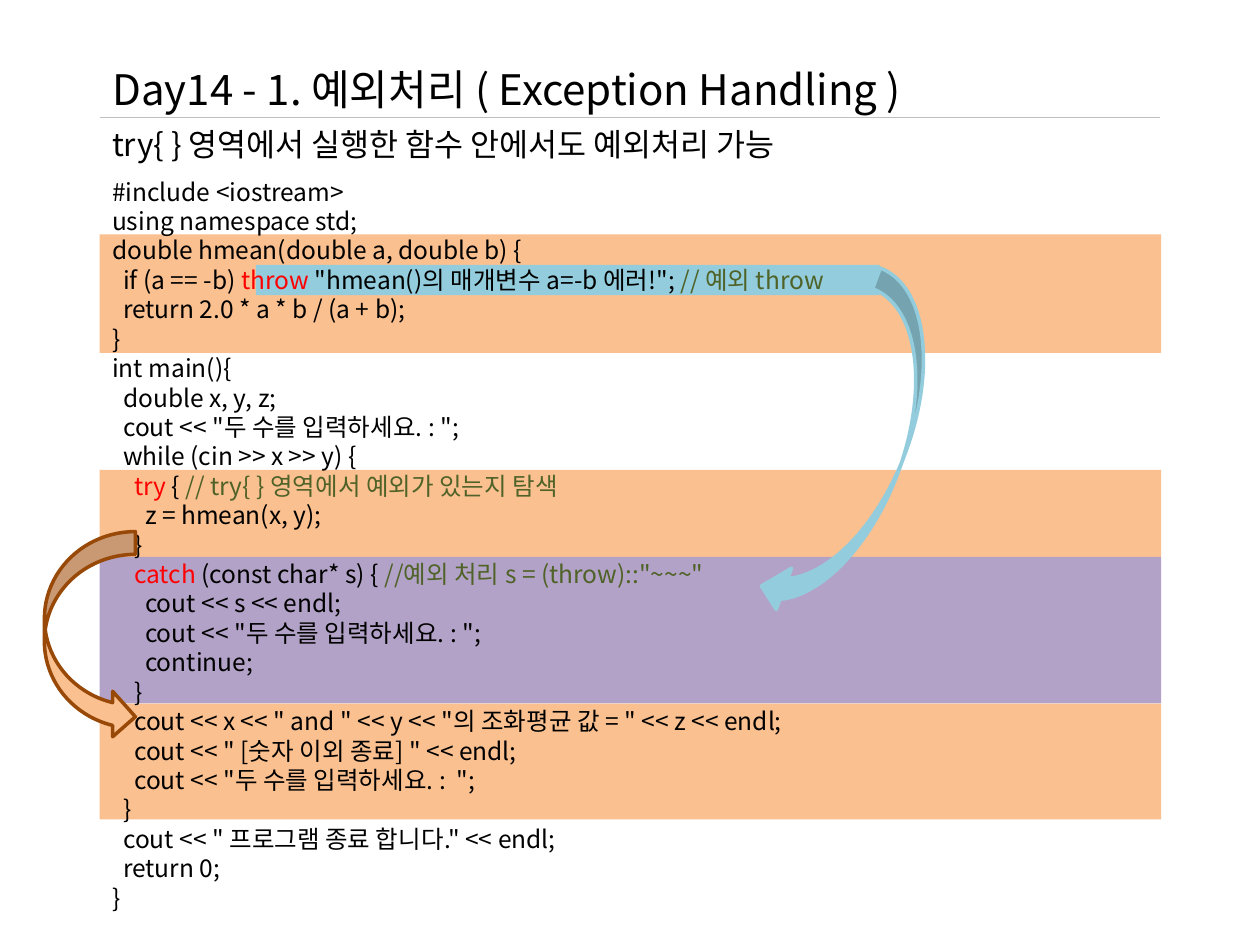
from lxml import etree
from pptx import Presentation
from pptx.dml.color import RGBColor
from pptx.enum.shapes import MSO_CONNECTOR, MSO_SHAPE
from pptx.enum.text import MSO_ANCHOR, MSO_AUTO_SIZE, PP_ALIGN
from pptx.oxml.ns import qn
from pptx.util import Pt

RECT = MSO_SHAPE.RECTANGLE
RIGHT = MSO_SHAPE.CURVED_RIGHT_ARROW
LEFT = MSO_SHAPE.CURVED_LEFT_ARROW
LINE = MSO_CONNECTOR.STRAIGHT
TOP = MSO_ANCHOR.TOP
ALIGN = PP_ALIGN.LEFT
FIXED = MSO_AUTO_SIZE.NONE

BLACK = RGBColor(0, 0, 0)
RED = RGBColor(0xFF, 0, 0)
GREEN = RGBColor(0x4F, 0x62, 0x28)
GRAY = RGBColor(0xBF, 0xBF, 0xBF)
ORANGE = RGBColor(0xFA, 0xC0, 0x90)
BROWN = RGBColor(0x98, 0x48, 0x07)
PURPLE = RGBColor(0xB3, 0xA2, 0xC7)
BLUE = RGBColor(0x93, 0xCD, 0xDD)

FONT = "Noto Sans CJK KR"
EDGE = 57
WIDE = 606.6
WORDS = ("throw", "try", "catch")

CODE = """#include <iostream>
using namespace std;
double hmean(double a, double b) {
  if (a == -b) |throw| "hmean()의 매개변수 a=-b 에러!"; |// 예외 throw
  return 2.0 * a * b / (a + b);
}
int main(){
  double x, y, z;
  cout << "두 수를 입력하세요. : ";
  while (cin >> x >> y) {
    |try| { |// try{ } 영역에서 예외가 있는지 탐색
      z = hmean(x, y);
    }
    |catch| (const char* s) { |//예외 처리 s = (throw)::"~~~"
      cout << s << endl;
      cout << "두 수를 입력하세요. : ";
      continue;
    }
    cout << x << " and " << y << "의 조화평균 값 = " << z << endl;
    cout << " [숫자 이외 종료] " << endl;
    cout << "두 수를 입력하세요. :  ";
  }
  cout << " 프로그램 종료 합니다." << endl;
  return 0;
}"""


def write(box, text, size, top, high):
    box.left, box.top, box.width, box.height = Pt(EDGE), Pt(top), Pt(WIDE), Pt(high)
    frame = box.text_frame
    frame.word_wrap = True
    frame.auto_size = FIXED
    frame.vertical_anchor = TOP
    frame.margin_top = Pt(3.6 + size * 0.06)
    for i, row in enumerate(text.split("\n")):
        para = frame.add_paragraph() if i else frame.paragraphs[0]
        para.alignment = ALIGN
        para.line_spacing = Pt(size * 1.2)
        para.space_before = Pt(0)
        para.font.size = Pt(size)
        para.font.name = FONT
        para.font.color.rgb = BLACK
        face = para._p.pPr.find(qn("a:defRPr"))
        etree.SubElement(face, qn("a:ea")).set("typeface", FONT)
        for part in filter(None, row.split("|")):
            run = para.add_run()
            run.text = part
            if part in WORDS:
                run.font.color.rgb = RED
            elif part.startswith("//"):
                run.font.color.rgb = GREEN


def draw(kind, left, top, width, high, fill, edge=None):
    shape = slide.shapes.add_shape(kind, Pt(left), Pt(top), Pt(width), Pt(high))
    shape.shadow.inherit = False
    shape.fill.solid()
    shape.fill.fore_color.rgb = fill
    if edge is None:
        shape.line.fill.background()
    else:
        shape.line.color.rgb = edge
        shape.line.width = Pt(2)
    return shape


deck = Presentation()
deck.slide_width, deck.slide_height = Pt(720), Pt(540)
slide = deck.slides.add_slide(deck.slide_layouts[5])

write(slide.shapes.title, "Day14 - 1. 예외처리 ( Exception Handling )", 24, 31, 36)

rule = slide.shapes.add_connector(LINE, Pt(EDGE), Pt(67), Pt(663), Pt(67))
rule.line.color.rgb = GRAY
rule.line.width = Pt(0.75)
etree.SubElement(rule._element.spPr, qn("a:effectLst"))

head = slide.shapes.add_textbox(0, 0, 0, 0)
write(head, "try{ } 영역에서 실행한 함수 안에서도 예외처리 가능", 18, 67, 29)

for top, high, fill in (
    (268.5, 49.7, ORANGE),
    (318.2, 83.8, PURPLE),
    (134, 67.6, ORANGE),
    (402, 66.2, ORANGE),
):
    draw(RECT, EDGE, top, WIDE, high, fill)
draw(RECT, 146.2, 151.4, 356.4, 17.3, BLUE)

code = slide.shapes.add_textbox(0, 0, 0, 0)
write(code, CODE, 14, 96.5, 431)

draw(RIGHT, 25.4, 303.8, 52, 118.8, ORANGE, BROWN)
throw = draw(LEFT, 465.3, 155.5, 50.4, 206.6, BLUE, BLUE)
throw.rotation = 20.5

deck.save("out.pptx")
